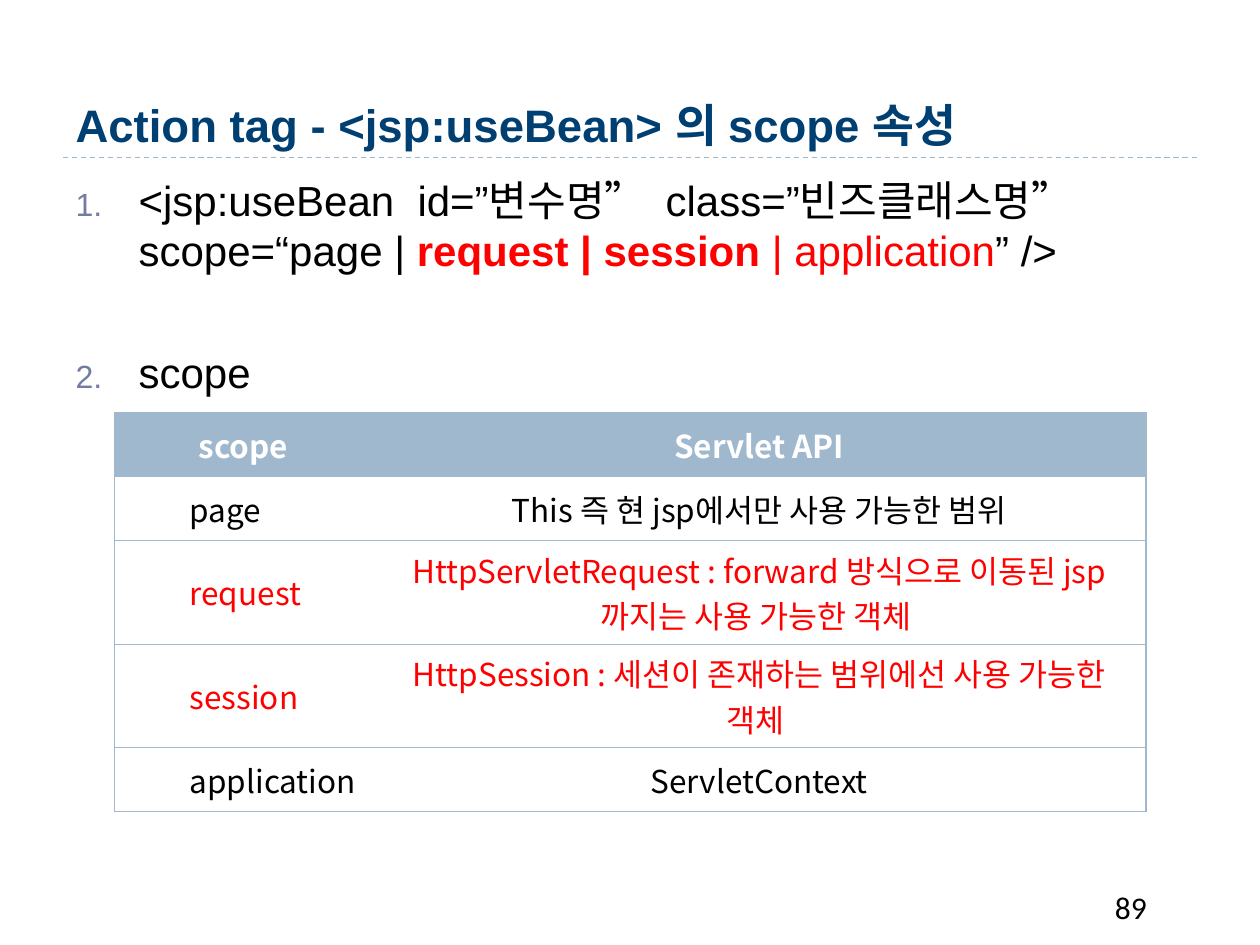
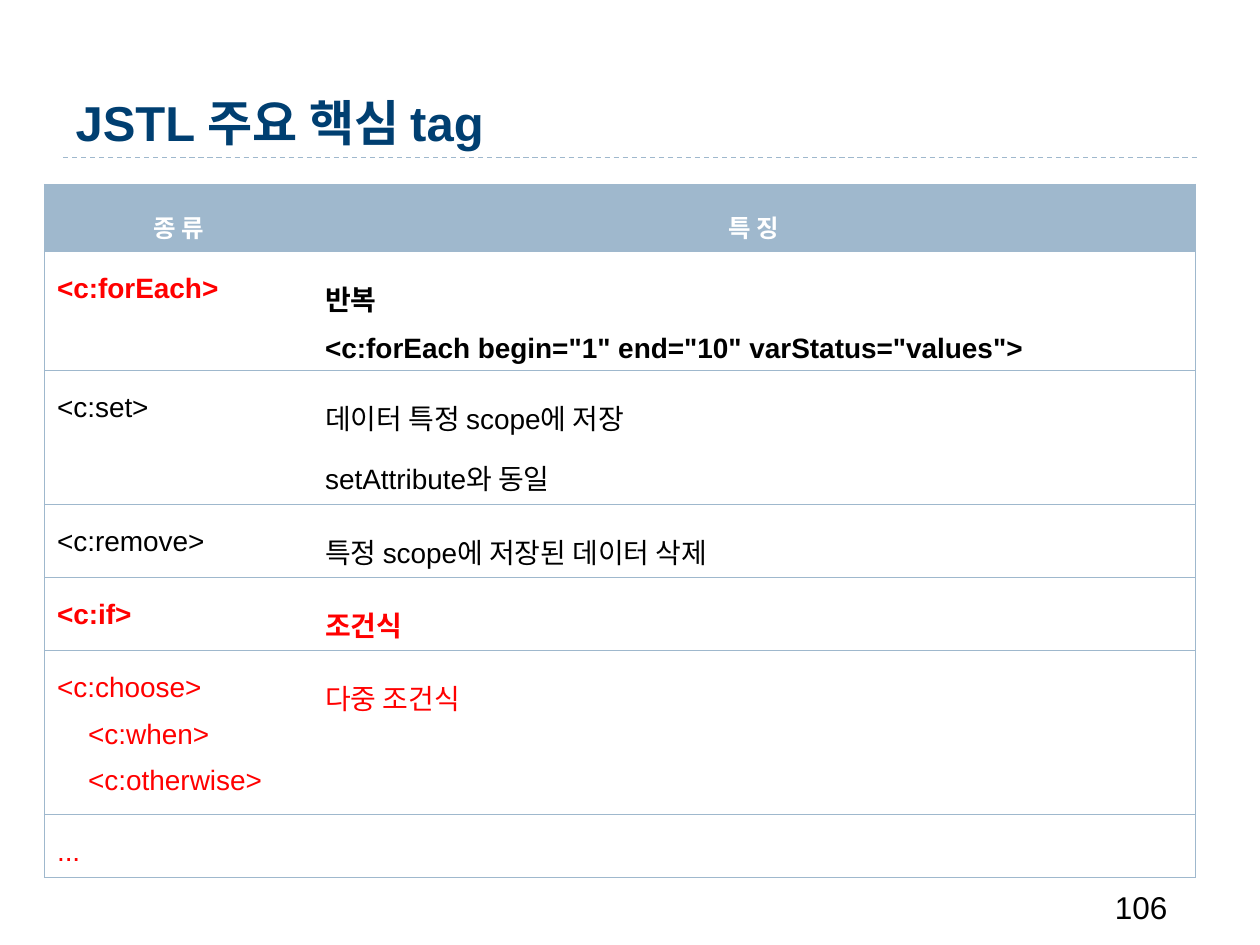
import pptx
import pptx.util
import pptx.dml.color
import pptx.enum.dml
import pptx.enum.shapes
import pptx.enum.text
import pptx.oxml.ns
from lxml import etree

Pt = pptx.util.Pt
ALIGN = pptx.enum.text.PP_ALIGN
ANCHOR = pptx.enum.text.MSO_ANCHOR

COLORS = {
    "title": "003F71",
    "rule": "9FB8CD",
    "number": "727CA3",
    "text": "000000",
    "key": "FF0000",
    "paper": "FFFFFF",
}
LATIN, HANGUL = "Arial", "Noto Sans CJK KR"

SYNTAX_ITEMS = [
    (0, [
        ("<jsp:useBean  id=”변수명”  class=”빈즈클래스명” scope=“page | ", "text", False),
        ("request | session ", "key", True),
        ("| application", "key", False),
        ("” />", "text", False),
    ]),
    (40.5, [("scope", "text", False)]),
]

SCOPES = {
    "at": (65.2, 235.8),
    "columns": (147.6, 442.1),
    "heights": (36.5, 36.5, 59.3, 59.3, 36.5),
    "font": HANGUL,
    "sizes": (18, 18),
    "spacing": 1.0,
    "anchor": ANCHOR.MIDDLE,
    "aligns": (ALIGN.LEFT, ALIGN.CENTER),
    "indent": 36,
    "rows": [
        ("paper", True, ["scope"], ["Servlet API"]),
        ("text", False, ["page"], ["This 즉 현 jsp에서만 사용 가능한 범위"]),
        ("key", False, ["request"],
         ["HttpServletRequest : forward 방식으로 이동된 jsp 까지는 사용 가능한 객체 "]),
        ("key", False, ["session"],
         ["HttpSession : 세션이 존재하는 범위에선 사용 가능한 객체 "]),
        ("text", False, ["application"], ["ServletContext"]),
    ],
}

CORE_TAGS = {
    "at": (25.4, 105.4),
    "columns": (153.2, 504.6),
    "heights": (38.3, 68, 76.6, 41.7, 41.7, 93.7, 36),
    "font": LATIN,
    "sizes": (14, 16),
    "spacing": 1.5,
    "anchor": ANCHOR.TOP,
    "aligns": (ALIGN.LEFT, ALIGN.LEFT),
    "indent": 0,
    "nested": {"<c:when>": 17.8, "<c:otherwise>": 17.8},
    "rows": [
        ("paper", True, ["종 류"], ["특 징"]),
        (("key", "text"), True, ["<c:forEach>"],
         ["반복", '<c:forEach begin="1" end="10" varStatus="values">']),
        ("text", False, ["<c:set>"], ["데이터 특정 scope에 저장", "setAttribute와 동일"]),
        ("text", False, ["<c:remove>"], ["특정 scope에 저장된 데이터 삭제"]),
        ("key", True, ["<c:if>"], ["조건식"]),
        ("key", False, ["<c:choose>", "<c:when>", "<c:otherwise>"], ["다중 조건식"]),
        ("key", False, ["..."], []),
    ],
}

SLIDES = [
    {"title": "Action tag - <jsp:useBean> 의 scope 속성", "title_size": 26, "title_spacing": 1.0,
     "items": SYNTAX_ITEMS, "table": SCOPES, "page": "89", "page_font": "Calibri"},
    {"title": "JSTL 주요 핵심 tag", "title_size": 28, "title_spacing": 1.5,
     "items": None, "table": CORE_TAGS, "page": "106", "page_font": LATIN},
]


def rgb(color):
    return pptx.dml.color.RGBColor.from_string(COLORS[color])


def add_element(parent, tag, **attributes):
    return etree.SubElement(parent, pptx.oxml.ns.qn(tag), attributes)


def style_run(run, size, color, bold=False, font=LATIN):
    run.font.name = font
    run.font.size = Pt(size)
    run.font.bold = bold
    run.font.color.rgb = rgb(color)


def place(holder, left, top, width, height):
    holder.left, holder.top, holder.width, holder.height = map(Pt, (left, top, width, height))
    frame = holder.text_frame
    frame.word_wrap = True
    frame.auto_size = pptx.enum.text.MSO_AUTO_SIZE.NONE
    return frame


def add_title(slide, title, size, spacing):
    frame = place(slide.shapes.title, 36, 12.2, 648, 77.8)
    frame.vertical_anchor = ANCHOR.BOTTOM
    frame.text = title
    heading = frame.paragraphs[0]
    heading.alignment = ALIGN.LEFT
    heading.line_spacing = spacing
    style_run(heading.runs[0], size, "title", True)


def add_title_rule(slide):
    rule = slide.shapes.add_connector(
        pptx.enum.shapes.MSO_CONNECTOR.STRAIGHT, Pt(36), Pt(90), Pt(684), Pt(90))
    rule.line.color.rgb = rgb("rule")
    rule.line.width = Pt(0.75)
    rule.line.dash_style = pptx.enum.dml.MSO_LINE.DASH
    add_element(rule._element.spPr, "a:effectLst")


def add_page_number(slide, page, font):
    box = slide.shapes.add_textbox(Pt(630), Pt(504), Pt(60), Pt(28.8))
    box.text_frame.word_wrap = True
    box.text_frame.text = page
    style_run(box.text_frame.paragraphs[0].runs[0], 18, "text", font=font)


def add_numbered_items(slide, items):
    frame = place(slide.placeholders[1], 36, 96, 648, 396)
    for index, (gap, parts) in enumerate(items):
        item = frame.paragraphs[0] if index == 0 else frame.add_paragraph()
        properties = item._p.get_or_add_pPr()
        properties.set("marL", str(Pt(36)))
        properties.set("indent", str(-Pt(36)))
        number_color = add_element(properties, "a:buClr")
        add_element(number_color, "a:srgbClr", val=COLORS["number"])
        add_element(properties, "a:buSzPct", val="76000")
        add_element(properties, "a:buFont", typeface=LATIN)
        add_element(properties, "a:buAutoNum", type="arabicPeriod")
        item.space_before = Pt(gap)
        for words, color, bold in parts:
            run = item.add_run()
            run.text = words
            style_run(run, 24, color, bold)


def set_borders(cell, column):
    properties = cell._tc.get_or_add_tcPr()
    visible = {"a:lnL": column == 0, "a:lnR": column == 1, "a:lnT": True, "a:lnB": True}
    for edge, shown in visible.items():
        border = add_element(properties, edge, w=str(Pt(0.75)))
        if shown:
            fill = add_element(border, "a:solidFill")
            add_element(fill, "a:srgbClr", val=COLORS["rule"])
        else:
            add_element(border, "a:noFill")


def fill_cell(cell, lines, color, bold, header, column, table):
    set_borders(cell, column)
    cell.fill.solid()
    cell.fill.fore_color.rgb = rgb("rule" if header else "paper")
    cell.vertical_anchor = ANCHOR.MIDDLE if header else table["anchor"]
    cell.text_frame.text = "\n".join(lines)
    for line, words in zip(cell.text_frame.paragraphs, lines):
        line.alignment = ALIGN.CENTER if header else table["aligns"][column]
        line.line_spacing = table["spacing"]
        if column == 0 and not header:
            indent = table.get("nested", {}).get(words, table["indent"])
            line._p.get_or_add_pPr().set("marL", str(Pt(indent)))
        style_run(line.runs[0], table["sizes"][0 if header else 1], color, bold, table["font"])


def add_tag_table(slide, table):
    rows, columns, heights = table["rows"], table["columns"], table["heights"]
    grid = slide.shapes.add_table(
        len(rows), len(columns), *map(Pt, table["at"]), Pt(sum(columns)), Pt(sum(heights))).table
    grid.horz_banding = grid.first_row = False
    for column, width in enumerate(columns):
        grid.columns[column].width = Pt(width)
    for row, (colors, bold, *texts) in enumerate(rows):
        grid.rows[row].height = Pt(heights[row])
        if isinstance(colors, str):
            colors = (colors, colors)
        for column, lines in enumerate(texts):
            fill_cell(grid.cell(row, column), lines, colors[column], bold, row == 0, column, table)


def main():
    deck = pptx.Presentation()
    deck.slide_width, deck.slide_height = Pt(720), Pt(540)
    for content in SLIDES:
        layout = deck.slide_layouts[1 if content["items"] else 5]
        slide = deck.slides.add_slide(layout)
        add_title_rule(slide)
        add_title(slide, content["title"], content["title_size"], content["title_spacing"])
        if content["items"]:
            add_numbered_items(slide, content["items"])
        add_page_number(slide, content["page"], content["page_font"])
        add_tag_table(slide, content["table"])
    deck.save("out.pptx")


if __name__ == "__main__":
    main()
